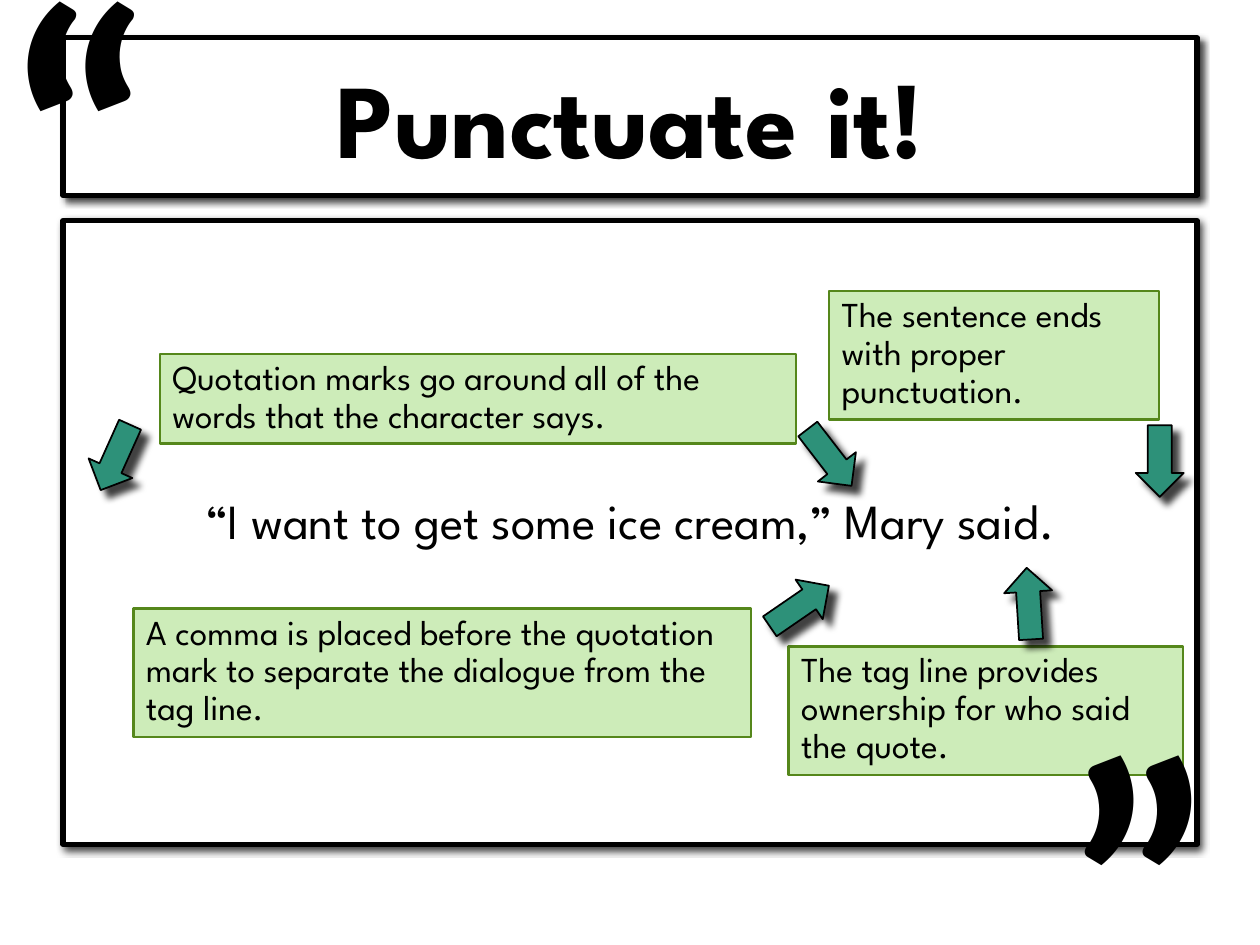
import pptx
import pptx.util
import pptx.dml.color
import pptx.enum.shapes
import pptx.enum.text
import pptx.oxml.ns
import lxml.etree

Pt = pptx.util.Pt
Rgb = pptx.dml.color.RGBColor.from_string
Kind = pptx.enum.shapes.MSO_SHAPE
Fit = pptx.enum.text.MSO_AUTO_SIZE
Side = pptx.enum.text.PP_ALIGN
Hold = pptx.enum.text.MSO_ANCHOR
qn = pptx.oxml.ns.qn

theme = {
    "ink": "000000", "page": "FFFFFF", "note": "9CDA74", "edge": "55871B", "arrow": "2D9179",
    "face": "League Spartan", "serif": "Lato",
    "head": 60, "line": 28, "small": 20, "mark": 199,
}


def style(item, form):
    for name, value in form.items():
        setattr(item, name, value)


def paint(shape, fill, edge, width, shade=None, clear=None):
    shape.fill.solid()
    shape.fill.fore_color.rgb = Rgb(theme[fill])
    shape.line.color.rgb = Rgb(theme[edge])
    shape.line.width = Pt(width)
    shape.shadow.inherit = False
    props = shape._element.spPr
    if clear:
        tone = props.find(qn("a:solidFill"))[0]
        lxml.etree.SubElement(tone, qn("a:alpha"), val=str(clear * 1000))
    if shade:
        alpha, blur, gap, turn = shade
        cast = lxml.etree.SubElement(
            props.find(qn("a:effectLst")), qn("a:outerShdw"), blurRad=str(Pt(blur)),
            dist=str(Pt(gap)), dir=str(turn * 60000), algn="tl", rotWithShape="0")
        tone = lxml.etree.SubElement(cast, qn("a:srgbClr"), val=theme["ink"])
        lxml.etree.SubElement(tone, qn("a:alpha"), val=str(alpha * 1000))


deck = pptx.Presentation()
style(deck, {"slide_width": Pt(720), "slide_height": Pt(540)})
slide = deck.slides.add_slide(deck.slide_layouts[1])
shapes = slide.shapes
texts = []

panels = [
    (shapes.title, 21.6, 90, "Punctuate it!", "head", True, 3.6),
    (slide.placeholders[1], 126, 356.4, "“I want to get some ice cream,” Mary said.", "line", False, 17.6),
]
for panel, top, tall, words, size, bold, foot in panels:
    style(panel, {"left": Pt(36), "top": Pt(top), "width": Pt(648), "height": Pt(tall)})
    paint(panel, "page", "ink", 3, shade=(72, 4, 3, 49))
    frame = {"vertical_anchor": Hold.MIDDLE, "auto_size": Fit.NONE, "margin_bottom": Pt(foot)}
    para = {"alignment": Side.CENTER, "space_before": Pt(0)}
    texts.append((panel, words, "face", size, bold, frame, para))

notes = [
    (91.4, 202.3, 363.6, 51.1, "Quotation marks go around all of the words that the character says."),
    (76.3, 347.8, 352.8, 73.4,
     "A comma is placed before the quotation mark to separate the dialogue from the tag line."),
    (450.7, 369.4, 225.4, 73.4, "The tag line provides ownership for who said the quote."),
    (473.8, 166.3, 188.6, 73.4, "The sentence ends with proper punctuation."),
]
for left, top, wide, tall, words in notes:
    note = shapes.add_shape(Kind.RECTANGLE, Pt(left), Pt(top), Pt(wide), Pt(tall))
    paint(note, "note", "edge", 1.5, clear=50)
    frame = {"vertical_anchor": Hold.TOP, "auto_size": Fit.SHAPE_TO_FIT_TEXT}
    para = {"alignment": Side.LEFT, "line_spacing": 0.9}
    texts.append((note, words, "face", "small", False, frame, para))

for left, top, words in [(604.8, 383, "”"), (0.7, -46.1, "“")]:
    mark = shapes.add_textbox(Pt(left), Pt(top), Pt(161.3), Pt(248.4))
    texts.append((mark, words, "serif", "mark", True, {"auto_size": Fit.SHAPE_TO_FIT_TEXT}, {}))

for shape, words, face, size, bold, frame, para in texts:
    body = shape.text_frame
    style(body, {"word_wrap": True, **frame})
    line = body.paragraphs[0]
    style(line, para)
    run = line.add_run()
    run.text = words
    style(run.font, {"name": theme[face], "size": Pt(theme[size]), "bold": bold})
    run.font.color.rgb = Rgb(theme["ink"])
    if size == "line":
        props = line._p.get_or_add_pPr()
        style_off = {"marL": "0", "indent": "0"}
        props.attrib.update(style_off)
        lxml.etree.SubElement(props, qn("a:buNone"))
    if size == "mark":
        rim = lxml.etree.Element(qn("a:ln"), w=str(Pt(4.75)))
        tint = lxml.etree.SubElement(rim, qn("a:solidFill"))
        lxml.etree.SubElement(tint, qn("a:srgbClr"), val=theme["note"])
        run.font._element.insert(0, rim)

arrows = [
    (45.4, 247.7, 114.2), (453.6, 247.7, 52.4), (436.3, 332.6, 325.5),
    (567.4, 331.2, 266.5), (642.2, 249.8, 90),
]
for left, top, turn in arrows:
    arrow = shapes.add_shape(Kind.RIGHT_ARROW, Pt(left), Pt(top), Pt(41), Pt(27.4))
    arrow.rotation = turn
    paint(arrow, "arrow", "ink", 1, shade=(74, 4, 6, 45))

deck.save("out.pptx")
